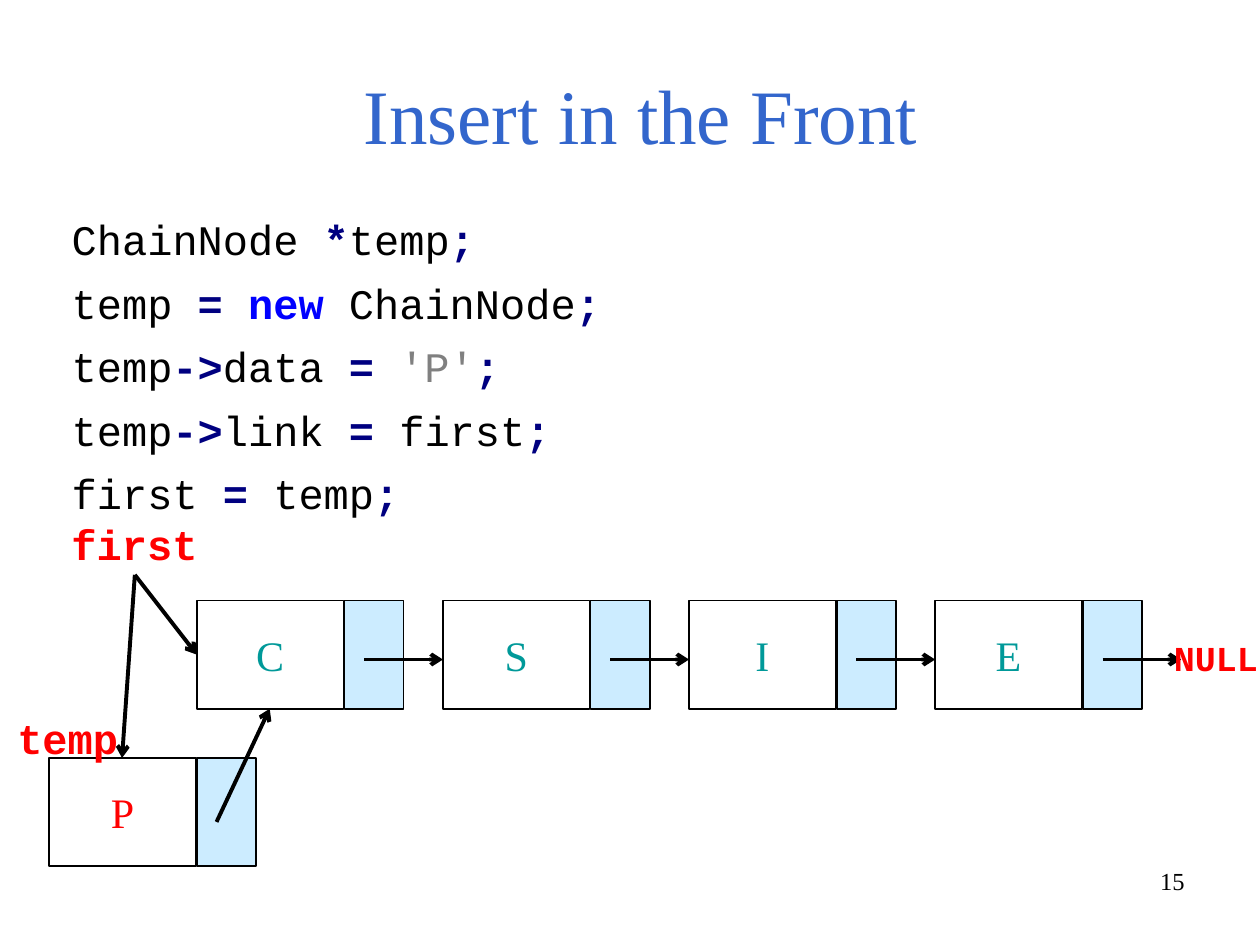
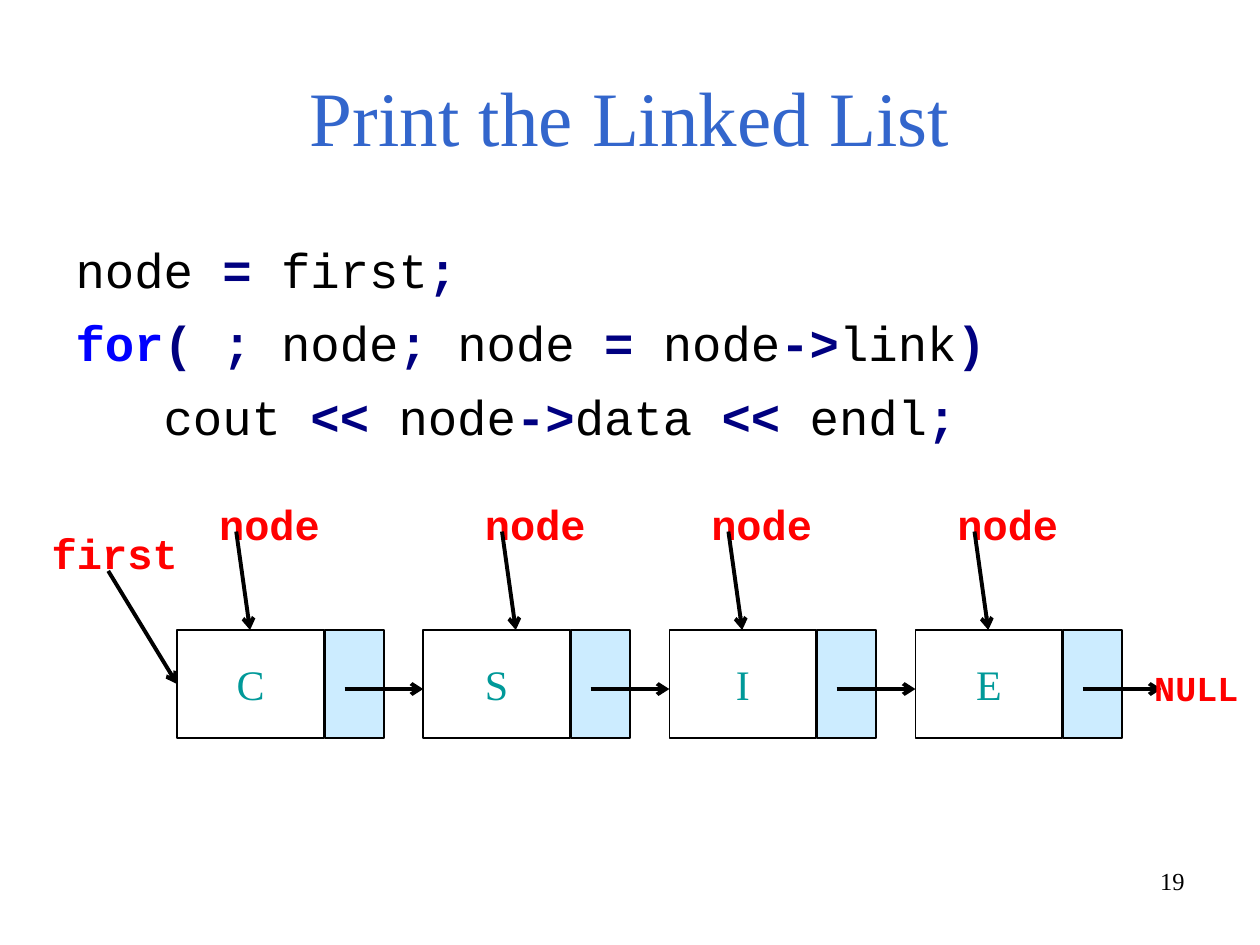
from dataclasses import dataclass
from typing import Any

from lxml import etree
from pptx import Presentation
from pptx import util as u
from pptx.dml.color import RGBColor
from pptx.enum import shapes, text
from pptx.oxml.ns import qn

# Shared look: 128 px make one inch
SCALE = 914400 / 128
HUE = {"title": "3366CC", "code": "000000", "op": "000080", "key": "0000FF",
       "quote": "808080", "line": "000000", "link": "CCECFF",
       "data": "009999", "mark": "FF0000"}
SERIF, MONO = "Times New Roman", "Courier New"
CELL, LINK, HIGH, STEP = 150, 60, 110, 250
FIT = text.MSO_AUTO_SIZE
LEFT, MID, RIGHT = text.PP_ALIGN.LEFT, text.PP_ALIGN.CENTER, text.PP_ALIGN.RIGHT
Box = tuple[int, int, int, int]


@dataclass
class Node:
    x: int
    y: int
    name: str
    hue: str = "data"
    chain: bool = True


@dataclass
class Tag:
    name: str
    box: Box
    size: int = 24
    wrap: bool = False
    face: str = MONO
    hue: str = "mark"
    bold: bool = True
    align: Any = LEFT


@dataclass
class Arrow:
    x1: int
    y1: int
    x2: int
    y2: int


@dataclass
class Page:
    title: str
    head: Box
    body: Box
    code: list[str]
    size: int
    top: float
    gap: float
    nodes: list[Node]
    tags: list[Tag]
    arrows: list[Arrow]
    number: str


def px(n: float) -> int:
    return round(n * SCALE)


def rgb(hue: str) -> RGBColor:
    return RGBColor.from_string(HUE[hue])


def put(item: Any, form: dict[str, Any]) -> None:
    for name, value in form.items():
        setattr(item, name, value)


def place(shape: Any, box: Box) -> None:
    put(shape, dict(zip(("left", "top", "width", "height"), map(px, box))))


def write(para: Any, words: str, face: str, size: int, hue: str,
          bold: bool = False) -> None:
    run = para.add_run()
    run.text = words
    put(run.font, {"name": face, "size": u.Pt(size), "bold": bold})
    run.font.color.rgb = rgb(hue)


# Code lines: "|" parts the tokens, and each token's look follows from its text
def tint(token: str) -> str:
    if token in ("new", "for"):
        return "key"
    if token.startswith("'"):
        return "quote"
    return "code" if any(c.isalnum() for c in token) else "op"


def draw_code(holder: Any, page: Page) -> None:
    place(holder, page.body)
    frame = holder.text_frame
    put(frame, {"auto_size": FIT.NONE, "word_wrap": True,
                "margin_top": u.Pt(3.6 + page.top)})
    for i, line in enumerate(page.code):
        para = frame.add_paragraph() if i else frame.paragraphs[0]
        props = para._p.get_or_add_pPr()
        props.set("marL", str(px(48)))
        props.set("indent", str(px(-48)))
        etree.SubElement(props, qn("a:buNone"))
        para.space_before = u.Pt(page.gap if i else 0)
        for token in line.split("|"):
            hue = tint(token)
            write(para, token, MONO, page.size, hue, hue in ("op", "key"))


# Linked list parts
def draw_cell(tree: Any, box: Box) -> Any:
    cell = tree.add_shape(shapes.MSO_SHAPE.RECTANGLE, *map(px, box))
    cell.shadow.inherit = False
    cell.line.color.rgb = rgb("line")
    cell.line.width = u.Pt(1)
    return cell


def draw_arrow(tree: Any, arrow: Arrow) -> None:
    ends = (arrow.x1, arrow.y1, arrow.x2, arrow.y2)
    line = tree.add_connector(shapes.MSO_CONNECTOR.STRAIGHT, *map(px, ends))
    line.line.color.rgb = rgb("line")
    line.line.width = u.Pt(2.25)
    props = line._element.spPr
    etree.SubElement(props.find(qn("a:ln")), qn("a:tailEnd"), type="arrow")
    etree.SubElement(props, qn("a:effectLst"))


def draw_node(slide: Any, node: Node) -> None:
    tree = slide.shapes.add_group_shape().shapes
    link = draw_cell(tree, (node.x + CELL, node.y, LINK, HIGH))
    link.fill.solid()
    link.fill.fore_color.rgb = rgb("link")
    data = draw_cell(tree, (node.x, node.y, CELL - 1, HIGH))
    data.fill.background()
    put(data.text_frame, {"word_wrap": False,
                          "vertical_anchor": text.MSO_ANCHOR.MIDDLE})
    para = data.text_frame.paragraphs[0]
    para.alignment = MID
    write(para, node.name, SERIF, 24, node.hue)
    if node.chain:
        y = node.y + 60
        draw_arrow(tree, Arrow(node.x + 170, y, node.x + STEP, y))


def draw_tag(slide: Any, tag: Tag) -> None:
    box = slide.shapes.add_textbox(*map(px, tag.box))
    put(box.text_frame, {"word_wrap": tag.wrap, "auto_size": FIT.SHAPE_TO_FIT_TEXT})
    para = box.text_frame.paragraphs[0]
    para.alignment = tag.align
    write(para, tag.name, tag.face, tag.size, tag.hue, tag.bold)


def chain(x: int, y: int) -> list[Node]:
    return [Node(x + STEP * i, y, name) for i, name in enumerate("CSIE")]


def null(x: int, y: int) -> Tag:
    return Tag("NULL", (x, y, 125, 56), 20, True)


def draw_page(deck: Any, page: Page) -> None:
    slide = deck.slides.add_slide(deck.slide_layouts[1])
    title, body = slide.placeholders
    place(title, page.head)
    put(title.text_frame, {"auto_size": FIT.NONE,
                           "vertical_anchor": text.MSO_ANCHOR.MIDDLE})
    para = title.text_frame.paragraphs[0]
    para.alignment = MID
    write(para, page.title, SERIF, 44, "title")
    draw_code(body, page)
    for node in page.nodes:
        draw_node(slide, node)
    for tag in page.tags:
        draw_tag(slide, tag)
    for arrow in page.arrows:
        draw_arrow(slide.shapes, arrow)
    draw_tag(slide, Tag(page.number, (918, 874, 298, 66), 14, True,
                        SERIF, "code", False, RIGHT))


# Slide content
SPOTS = (210, 480, 710, 960)
PAGES = [
    Page("Insert in the Front", (75, 46, 1152, 140), (60, 200, 1152, 614),
         ["ChainNode |*|temp|;",
          "temp |= |new| ChainNode|;",
          "temp|->|data |= |'P'|;",
          "temp|->|link |=| first|;",
          "first |=| temp|;"],
         24, 6, 7.5,
         chain(200, 610) + [Node(50, 770, "P", "mark", False)],
         [Tag("first", (60, 520, 154, 64)), null(1180, 640),
          Tag("temp", (5, 718, 128, 64))],
         [Arrow(137, 584, 200, 665), Arrow(220, 835, 274, 720),
          Arrow(137, 584, 124, 770)],
         "15"),
    Page("Print the Linked List", (64, 38, 1152, 160), (64, 224, 1152, 634),
         ["node |=| first|;",
          "for|( ;| node|;| node |= |node|->|link|)",
          "   cout |<<| node|->|data |<<| endl|;"],
         28, 7, 8.6,
         chain(180, 640),
         [Tag("first", (40, 530, 154, 64)), null(1160, 671)]
         + [Tag("node", (x, 500, 128, 64)) for x in SPOTS],
         [Arrow(110, 580, 180, 695)]
         + [Arrow(x + 30, 540, x + 44, 640) for x in SPOTS],
         "19"),
]


def main() -> None:
    deck = Presentation()
    deck.slide_width, deck.slide_height = px(1280), px(960)
    for page in PAGES:
        draw_page(deck, page)
    deck.save("out.pptx")


if __name__ == "__main__":
    main()
